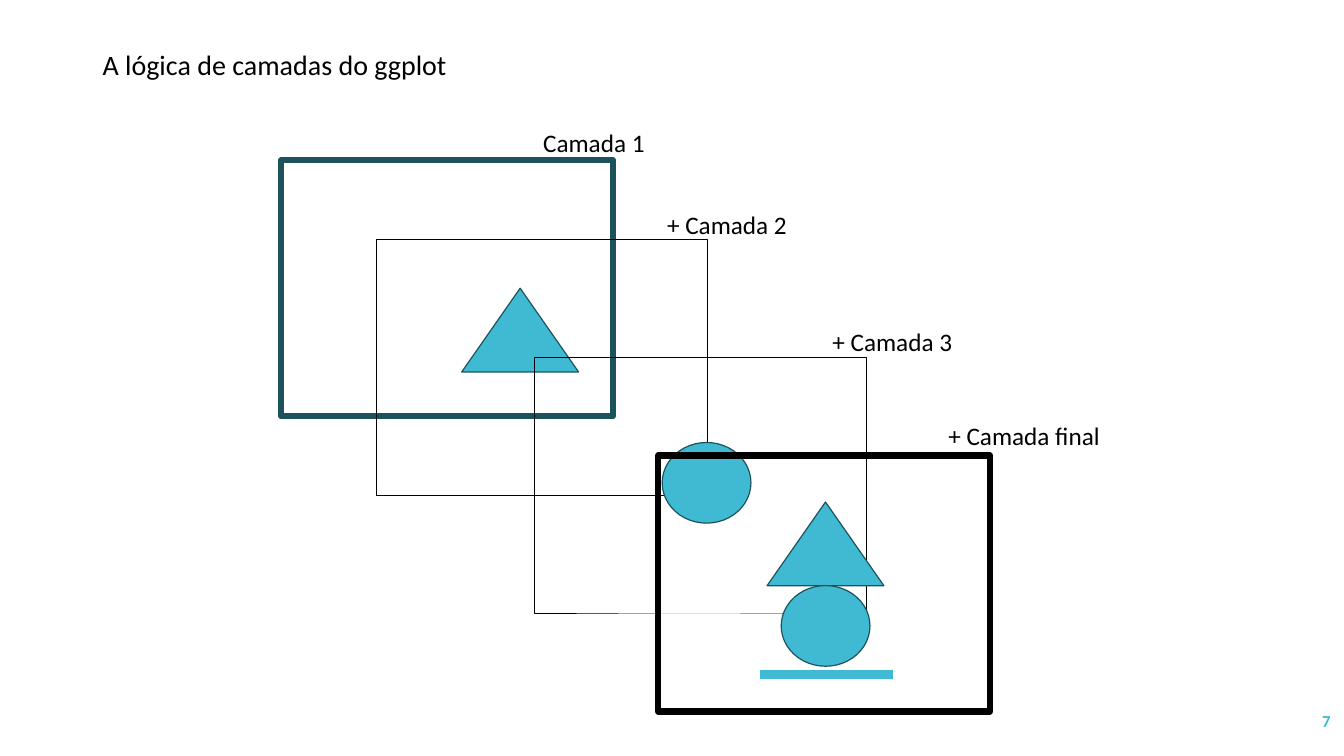
from lxml import etree
from pptx import Presentation
from pptx.dml.color import RGBColor
from pptx.enum.shapes import MSO_CONNECTOR, MSO_SHAPE
from pptx.enum.text import MSO_ANCHOR, MSO_AUTO_SIZE, PP_ALIGN
from pptx.oxml.ns import qn
from pptx.util import Pt

RECTANGLE = MSO_SHAPE.RECTANGLE
TRIANGLE = MSO_SHAPE.ISOSCELES_TRIANGLE
OVAL = MSO_SHAPE.OVAL
STRAIGHT = MSO_CONNECTOR.STRAIGHT
TOP, MIDDLE = MSO_ANCHOR.TOP, MSO_ANCHOR.MIDDLE
LEFT, RIGHT = PP_ALIGN.LEFT, PP_ALIGN.RIGHT
FIT_SHAPE, NO_FIT = MSO_AUTO_SIZE.SHAPE_TO_FIT_TEXT, MSO_AUTO_SIZE.NONE

COLORS = {"black": "000000", "teal": "1C525C", "sky": "40BAD2"}
FONT = "Calibri"
FRAME_SIZE = (236.9, 182.9)
TRIANGLE_SIZE = (83.5, 59.8)
CIRCLE_SIZE = (63.4, 57.6)
LABELS = [
    ("Camada 1", 380.9, 87.1, 88.6),
    ("+ Camada 2", 469.4, 146.2, 102.2),
    ("+ Camada 3", 587.5, 229.7, 100.8),
    ("+ Camada final", 670.3, 296.6, 125.3),
]


def rgb(name):
    return RGBColor.from_string(COLORS[name])


def add_text(page, text, left, top, width, height=28.8, *, size=18, color="black",
             bold=False, align=LEFT, anchor=TOP, wrap=False):
    box = page.shapes.add_textbox(Pt(left), Pt(top), Pt(width), Pt(height))
    frame = box.text_frame
    frame.word_wrap = wrap
    frame.auto_size = NO_FIT if wrap else FIT_SHAPE
    frame.vertical_anchor = anchor
    para = frame.paragraphs[0]
    para.alignment = align
    span = para.add_run()
    span.text = text
    span.font.name = FONT
    span.font.size = Pt(size)
    span.font.bold = bold
    span.font.color.rgb = rgb(color)


def add_outlined(page, kind, left, top, size, line, weight, fill=None):
    """Add a preset shape with an outline, hollow unless a fill is named."""
    shape = page.shapes.add_shape(kind, Pt(left), Pt(top), *map(Pt, size))
    shape.shadow.inherit = False
    if fill:
        shape.fill.solid()
        shape.fill.fore_color.rgb = rgb(fill)
    else:
        shape.fill.background()
    shape.line.color.rgb = rgb(line)
    shape.line.width = Pt(weight)


def add_frame(page, left, top, line="black", weight=0.25):
    add_outlined(page, RECTANGLE, left, top, FRAME_SIZE, line, weight)


def add_triangle(page, left, top):
    add_outlined(page, TRIANGLE, left, top, TRIANGLE_SIZE, "teal", 0.85, "sky")


def add_circle(page, left, top):
    add_outlined(page, OVAL, left, top, CIRCLE_SIZE, "teal", 0.85, "sky")


def add_bar(page, left, right, y):
    """Add the thick horizontal line of the final layer."""
    bar = page.shapes.add_connector(STRAIGHT, Pt(left), Pt(y), Pt(right), Pt(y))
    bar.line.color.rgb = rgb("sky")
    bar.line.width = Pt(6)
    etree.SubElement(bar._element.spPr, qn("a:effectLst"))


def main():
    deck = Presentation()
    deck.slide_width, deck.slide_height = Pt(960), Pt(540)
    page = deck.slides.add_slide(deck.slide_layouts[6])

    add_text(page, "7", 837.4, 500.4, 120.2, size=12, color="sky", bold=True,
             align=RIGHT, anchor=MIDDLE, wrap=True)

    add_frame(page, 200.9, 114.5, "teal", 4.5)
    add_frame(page, 268.6, 170.6)
    add_circle(page, 473, 316.1)
    add_triangle(page, 329.8, 205.9)
    add_frame(page, 381.6, 254.9)
    add_frame(page, 470.2, 325.4, weight=4.5)
    add_triangle(page, 547.9, 358.6)
    add_circle(page, 558, 418.3)

    for text, left, top, width in LABELS:
        add_text(page, text, left, top, width)
    add_bar(page, 542.9, 637.9, 481.7)
    add_text(page, "A lógica de camadas do ggplot", 66.2, 30.2, 268.6, 31.7, size=20)

    deck.save("out.pptx")


if __name__ == "__main__":
    main()
